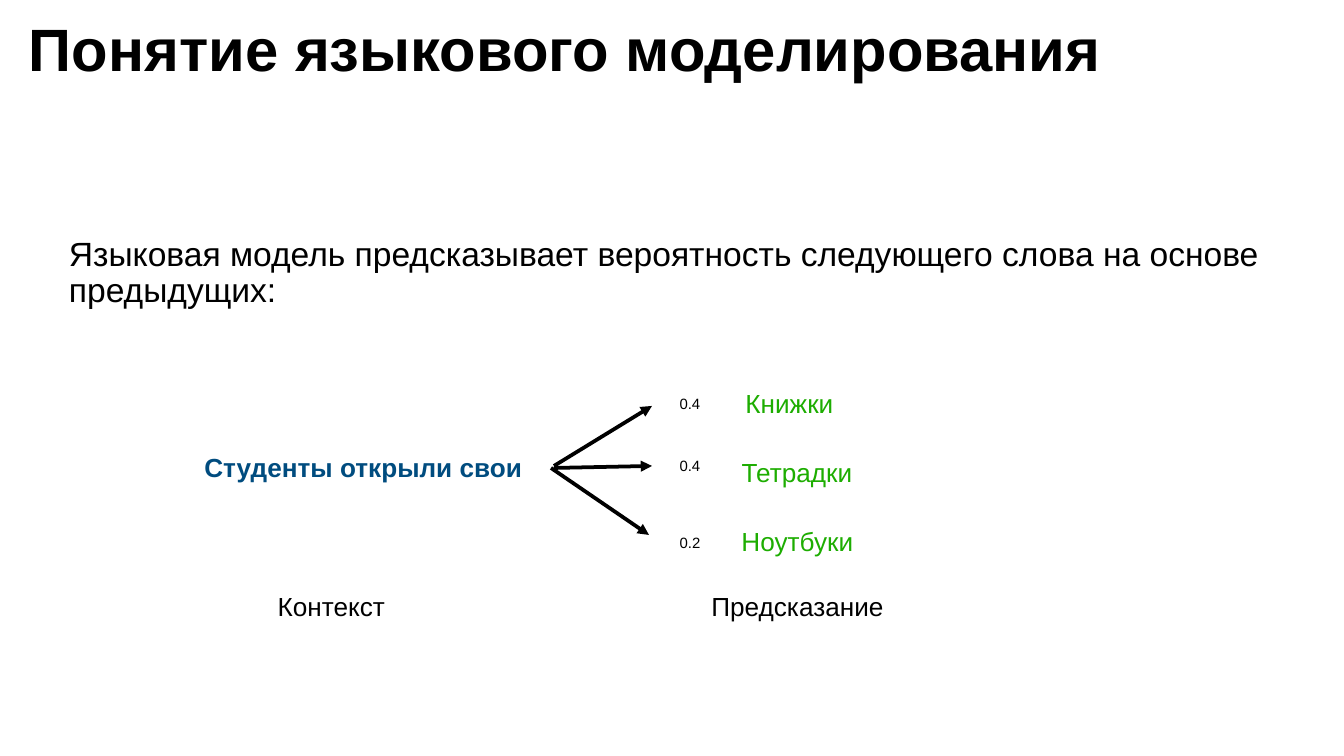
import pptx
import pptx.dml.color
import pptx.enum.shapes
import pptx.enum.text
import pptx.oxml
import pptx.oxml.ns
import pptx.util

BLACK = pptx.dml.color.RGBColor(0x00, 0x00, 0x00)
BLUE = pptx.dml.color.RGBColor(0x00, 0x4C, 0x7F)
GREEN = pptx.dml.color.RGBColor(0x1D, 0xAD, 0x01)
ALIGN = pptx.enum.text.PP_ALIGN
ANCHOR = pptx.enum.text.MSO_ANCHOR
FIT = pptx.enum.text.MSO_AUTO_SIZE
SCALE = 914400 * 10 / 1344


def px(length):
    """Turn px into EMU."""
    return pptx.util.Emu(round(length * SCALE))


def write(frame, text, size=14, color=BLACK, bold=False, align=ALIGN.CENTER,
          anchor=ANCHOR.MIDDLE, spacing=1.0, fit=FIT.SHAPE_TO_FIT_TEXT):
    """Fill a text frame with one formatted paragraph."""
    frame.word_wrap = True
    frame.auto_size = fit
    frame.vertical_anchor = anchor
    frame.margin_left = frame.margin_right = px(3)
    frame.margin_top = frame.margin_bottom = px(3)
    para = frame.paragraphs[0]
    para.alignment = align
    para.line_spacing = spacing
    span = para.add_run()
    span.text = text
    span.font.name = "Arial"
    span.font.size = pptx.util.Pt(size)
    span.font.bold = bold
    span.font.color.rgb = color


class Slide:
    """Holds the style and the current page."""

    line_width = pptx.util.Pt(2)
    block = dict(align=ALIGN.LEFT, anchor=ANCHOR.TOP, fit=FIT.NONE)

    def __init__(self, deck):
        """Add a title-only page."""
        self.page = deck.slides.add_slide(deck.slide_layouts[5])

    def title(self, text, left, top, width, height):
        """Place and format the title."""
        box = self.page.shapes.title
        box.left, box.top, box.width, box.height = map(px, (left, top, width, height))
        write(box.text_frame, text, size=32, bold=True, spacing=0.8, **self.block)

    def label(self, text, left, top, width, height=38, **style):
        """Add a text box."""
        box = self.page.shapes.add_textbox(*map(px, (left, top, width, height)))
        write(box.text_frame, text, **style)

    def body(self, text, left, top, width, height):
        """Add the introductory text."""
        self.label(text, left, top, width, height, size=18, spacing=0.9, **self.block)

    def arrow(self, *ends):
        """Add a straight arrow."""
        line = self.page.shapes.add_connector(
            pptx.enum.shapes.MSO_CONNECTOR.STRAIGHT, *map(px, ends))
        line.line.color.rgb = BLACK
        line.line.width = self.line_width
        head = pptx.oxml.parse_xml(
            f'<a:tailEnd {pptx.oxml.ns.nsdecls("a")} type="triangle"/>')
        line.line._get_or_add_ln().append(head)
        line._element.spPr.append(
            pptx.oxml.parse_xml(f'<a:effectLst {pptx.oxml.ns.nsdecls("a")}/>'))


def main():
    """Build the deck."""
    deck = pptx.Presentation()
    deck.slide_width, deck.slide_height = px(1344), px(756)
    slide = Slide(deck)
    slide.title("Понятие языкового моделирования", 26, 23, 1274, 82)
    slide.body("Языковая модель предсказывает вероятность следующего слова "
               "на основе предыдущих:", 66, 234, 1211, 95)
    slide.label("Студенты открыли свои ", 133, 448, 468, color=BLUE, bold=True)

    words = [("Книжки", 727, 125), ("Тетрадки", 723, 148), ("Ноутбуки", 723, 149)]
    for row, (word, left, width) in enumerate(words):
        slide.label(word, left, 384 + 69 * row, width, color=GREEN)

    for ends in [(554, 466, 652, 406), (551, 468, 649, 535), (554, 468, 652, 466)]:
        slide.arrow(*ends)

    for chance, top, width in [("0.4", 454, 98), ("0.4", 392, 80), ("0.2", 531, 66)]:
        slide.label(chance, 690 - width // 2, top, width, 24, size=8)

    for caption, left, width in [("Контекст ", 239, 192), ("Предсказание ", 706, 183)]:
        slide.label(caption, left, 587, width)
    deck.save("out.pptx")


if __name__ == "__main__":
    main()
